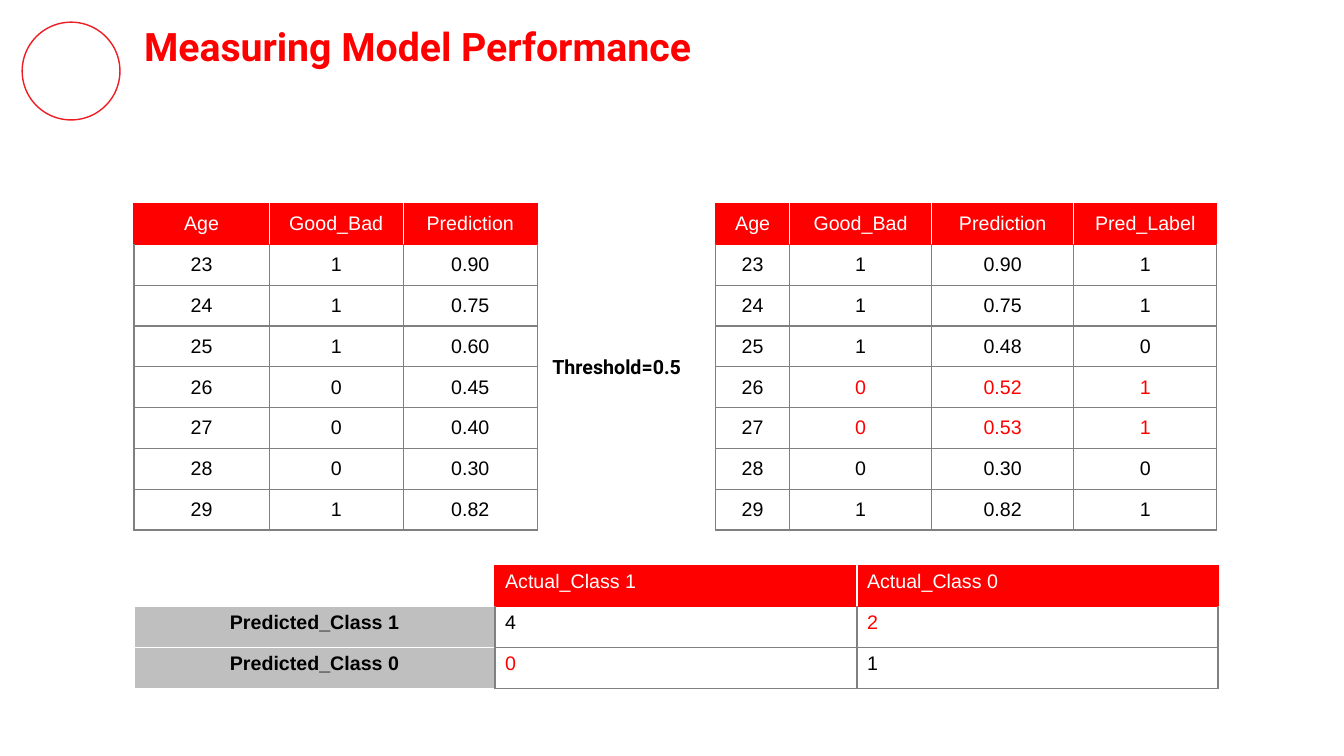
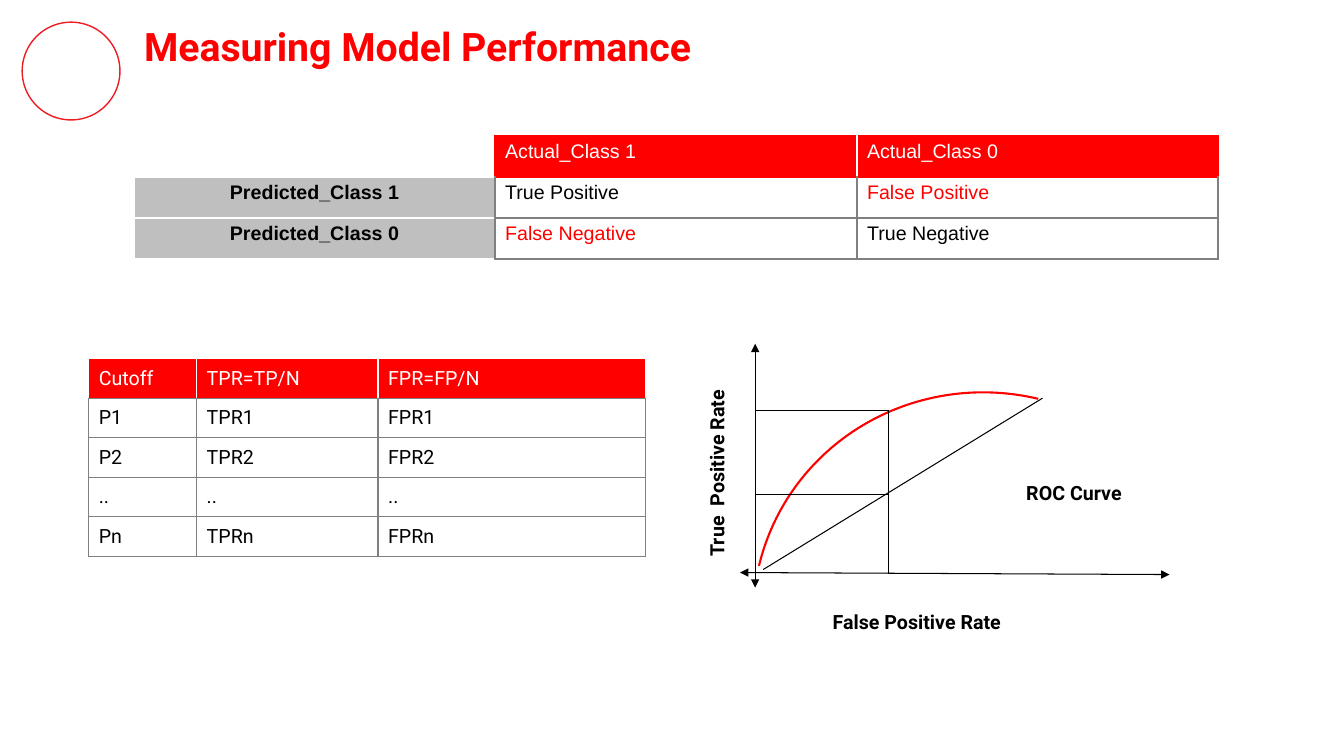
from lxml import etree
from pptx import Presentation
from pptx import util as u
from pptx.dml.color import RGBColor
from pptx.enum import shapes, text
from pptx.oxml.ns import qn

PX = 9144  # EMU in one px, at 100 px to the inch
RED = RGBColor(0xFF, 0x00, 0x00)
TITLE_RED = RGBColor(0xFF, 0x00, 0x01)
RING_RED = RGBColor(0xED, 0x1D, 0x24)
BLACK = RGBColor(0x00, 0x00, 0x00)
WHITE = RGBColor(0xFF, 0xFF, 0xFF)
GREY = RGBColor(0x80, 0x80, 0x80)
LABEL_GREY = RGBColor(0xBF, 0xBF, 0xBF)
CENTER = text.PP_ALIGN.CENTER
LEFT = text.PP_ALIGN.LEFT


def write(frame, value, size=14, font="Roboto", color=BLACK, bold=False, align=LEFT):
    frame.word_wrap = True
    para = frame.paragraphs[0]
    para.alignment = align
    span = para.add_run()
    span.text = value
    span.font.size = u.Pt(size)
    span.font.name = font
    span.font.bold = bold
    span.font.color.rgb = color


def add_table(page, rows, left, top, widths, height, reds=(), labels=False,
              edge=RED, under=RED, font="Arial", align=CENTER,
              anchor=text.MSO_ANCHOR.MIDDLE):
    """Add a table with a red header; labels makes the first column grey row names,
    edge and under colour the header's outer and lower borders."""
    frame = page.shapes.add_table(len(rows), len(widths), left * PX, top * PX,
                                  sum(widths) * PX, height * PX)
    table = frame.table
    table.first_row = table.horz_banding = False
    for column, width in zip(table.columns, widths):
        column.width = width * PX
    for row in table.rows:
        row.height = height * PX // len(rows)

    first, last = int(labels), len(widths) - 1
    for r, values in enumerate(rows):
        for c, value in enumerate(values):
            cell = table.cell(r, c)
            is_label = labels and c == 0
            if is_label:
                fill, color = LABEL_GREY, BLACK
                borders = [WHITE, GREY if r else edge, WHITE, WHITE]
            elif r == 0:
                fill, color = RED, WHITE
                borders = [edge if c == first else WHITE,
                           edge if c == last else WHITE, edge, under]
            else:
                fill, color = WHITE, RED if (r, c) in reds else BLACK
                borders = [GREY, GREY, under if r == 1 else GREY, GREY]

            properties = cell._tc.get_or_add_tcPr()
            for side, border in zip("LRTB", borders):
                line = etree.SubElement(properties, qn(f"a:ln{side}"), w="12700")
                solid = etree.SubElement(line, qn("a:solidFill"))
                etree.SubElement(solid, qn("a:srgbClr"), val=str(border))
            if not value:
                cell.fill.background()
                continue
            cell.fill.solid()
            cell.fill.fore_color.rgb = fill
            cell.vertical_anchor = anchor
            write(cell.text_frame, value, font=font, color=color, bold=is_label,
                  align=CENTER if is_label else align)


deck = Presentation()
deck.slide_width, deck.slide_height = 1333 * PX, 750 * PX
pages = [deck.slides.add_slide(deck.slide_layouts[6]) for _ in range(2)]
threshold_page, roc_page = pages

# Ring and title on every slide
for page in pages:
    ring = page.shapes.add_shape(shapes.MSO_SHAPE.OVAL, 22 * PX, 22 * PX, 97 * PX, 97 * PX)
    ring.shadow.inherit = False
    ring.fill.background()
    ring.line.color.rgb = RING_RED
    ring.line.width = u.Pt(1)
    title = page.shapes.add_textbox(133 * PX, 12 * PX, 1118 * PX, 67 * PX)
    title.text_frame.margin_top = title.text_frame.margin_bottom = 10 * PX
    write(title.text_frame, "Measuring Model Performance", size=28,
          color=TITLE_RED, bold=True)

# Predictions before and after the threshold
predictions = [
    ("Age", "Good_Bad", "Prediction"),
    ("23", "1", "0.90"),
    ("24", "1", "0.75"),
    ("25", "1", "0.60"),
    ("26", "0", "0.45"),
    ("27", "0", "0.40"),
    ("28", "0", "0.30"),
    ("29", "1", "0.82"),
]
labelled = [
    ("Age", "Good_Bad", "Prediction", "Pred_Label"),
    ("23", "1", "0.90", "1"),
    ("24", "1", "0.75", "1"),
    ("25", "1", "0.48", "0"),
    ("26", "0", "0.52", "1"),
    ("27", "0", "0.53", "1"),
    ("28", "0", "0.30", "0"),
    ("29", "1", "0.82", "1"),
]
false_positives = {(r, c) for r in (4, 5) for c in (1, 2, 3)}
add_table(threshold_page, predictions, 133, 202, [134, 133, 133], 324)
add_table(threshold_page, labelled, 710, 202, [73, 141, 141, 142], 324,
          reds=false_positives)

# Confusion matrix: counts, then the names of the outcomes
matrices = [
    (threshold_page, 561, ("4", "2"), ("0", "1")),
    (roc_page, 135, ("True Positive", "False Positive"),
     ("False Negative", "True Negative")),
]
for page, top, predicted_1, predicted_0 in matrices:
    rows = [("", "Actual_Class 1", "Actual_Class 0"),
            ("Predicted_Class 1", *predicted_1),
            ("Predicted_Class 0", *predicted_0)]
    add_table(page, rows, 133, top, [358, 359, 358], 122, reds={(1, 2), (2, 1)},
              labels=True, align=LEFT, anchor=text.MSO_ANCHOR.TOP)

# Rates for each cutoff
cutoffs = [("Cutoff", "TPR=TP/N", "FPR=FP/N")]
cutoffs += [(f"P{n}", f"TPR{n}", f"FPR{n}") for n in "12n"]
cutoffs.insert(3, ("..",) * 3)
add_table(roc_page, cutoffs, 88, 356, [107, 180, 265], 196, edge=WHITE, under=GREY,
          font="Roboto", align=LEFT)

# ROC chart
curve = roc_page.shapes.add_shape(shapes.MSO_SHAPE.ARC, 752 * PX, 384 * PX,
                                  451 * PX, 462 * PX)
curve.rotation = 283.4
curve.shadow.inherit = False
curve.fill.background()
curve.line.color.rgb = RED
curve.line.width = u.Pt(1.5)

chart_lines = [  # x1, y1, x2, y2, arrowheads
    (749, 341, 749, 583, True),
    (734, 568, 1160, 570, True),
    (757, 565, 1034, 395, False),
    (881, 407, 881, 568, False),
    (882, 407, 749, 407, False),
    (882, 491, 749, 491, False),
]
for x1, y1, x2, y2, arrowheads in chart_lines:
    connector = roc_page.shapes.add_connector(
        shapes.MSO_CONNECTOR.STRAIGHT, x1 * PX, y1 * PX, x2 * PX, y2 * PX)
    connector.line.color.rgb = BLACK
    connector.line.width = u.Pt(0.75)
    properties = connector.element.spPr
    if arrowheads:
        for end in ("a:headEnd", "a:tailEnd"):
            etree.SubElement(properties.find(qn("a:ln")), qn(end), type="triangle")
    etree.SubElement(properties, qn("a:effectLst"))

captions = [  # page, caption, left, top, width, rotation
    (threshold_page, "Threshold=0.5", 538, 347, 167, 0),
    (roc_page, "False Positive Rate", 816, 600, 218, 0),
    (roc_page, "True  Positive Rate", 602, 436, 218, 270),
    (roc_page, "ROC Curve", 1008, 472, 152, 0),
]
for page, caption, left, top, width, rotation in captions:
    box = page.shapes.add_textbox(left * PX, top * PX, width * PX, 34 * PX)
    box.rotation = rotation
    write(box.text_frame, caption, bold=True)

deck.save("out.pptx")
